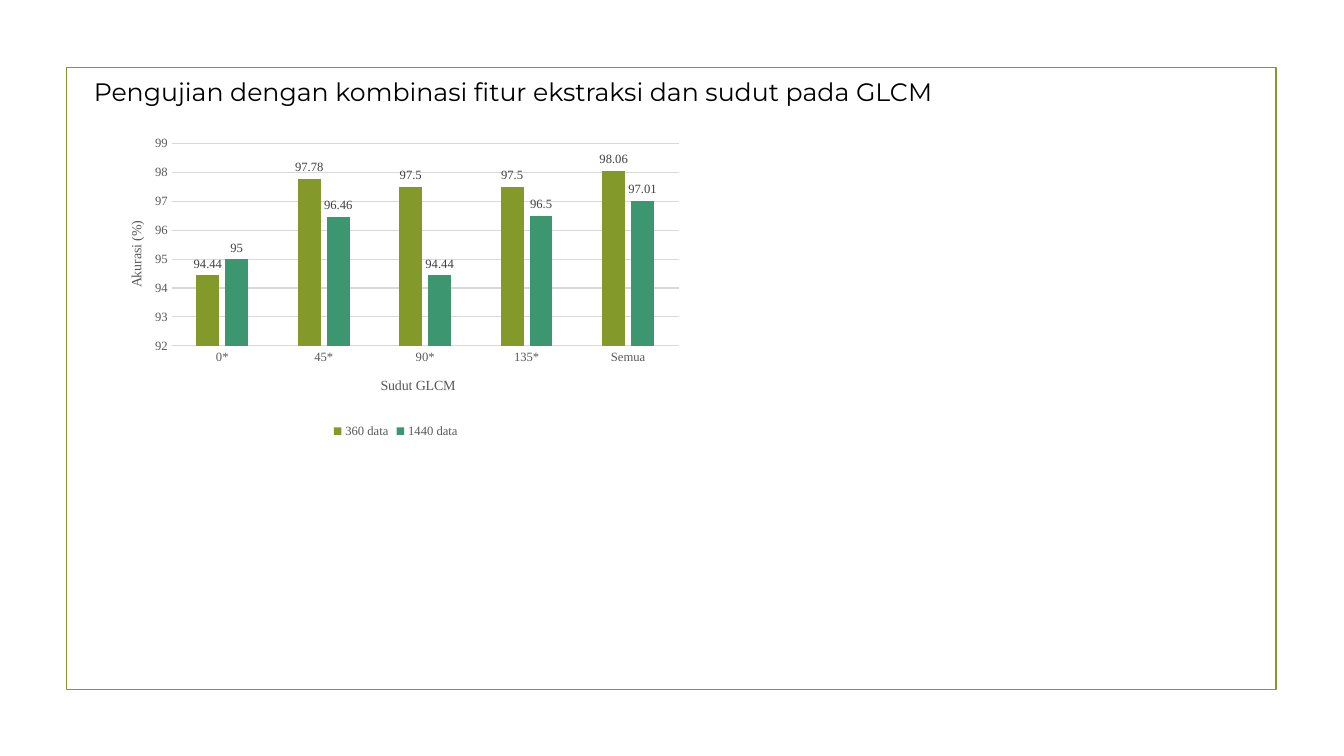
from lxml.etree import SubElement
from pptx import Presentation
from pptx.chart.data import CategoryChartData
from pptx.dml.color import RGBColor
from pptx.enum.chart import XL_CHART_TYPE, XL_LABEL_POSITION, XL_LEGEND_POSITION, XL_TICK_MARK
from pptx.enum.shapes import MSO_SHAPE
from pptx.enum.text import MSO_ANCHOR, PP_ALIGN
from pptx.oxml.ns import qn
from pptx.util import Inches, Pt

COLORS = {
    "olive": "83992A",
    "green": "3C9770",
    "black": "000000",
    "label": "404040",
    "axis": "595959",
    "grid": "D9D9D9",
}
ANGLES = ["0*", "45*", "90*", "135*", "Semua"]
SERIES = [
    ("360 data", [94.44, 97.78, 97.5, 97.5, 98.06], "olive"),
    ("1440 data", [95, 96.46, 94.44, 96.5, 97.01], "green"),
]


def color(name):
    return RGBColor.from_string(COLORS[name])


def style(font, size, name, face="Times New Roman"):
    font.size = Pt(size)
    font.name = face
    font.bold = False
    font.color.rgb = color(name)


def rule(line, name, width):
    line.color.rgb = color(name)
    line.width = Pt(width)


def place(parent, index, **shares):
    for old in parent.findall(qn("c:layout")):
        parent.remove(old)
    layout = SubElement(parent, qn("c:layout"))
    parent.insert(index, layout)
    manual = SubElement(layout, qn("c:manualLayout"))
    if "w" in shares:
        SubElement(manual, qn("c:layoutTarget")).set("val", "inner")
    for mode in ("xMode", "yMode"):
        SubElement(manual, qn(f"c:{mode}")).set("val", "edge")
    for key, share in shares.items():
        SubElement(manual, qn(f"c:{key}")).set("val", str(share))


def add_frame(slide, box):
    frame = slide.shapes.add_shape(MSO_SHAPE.RECTANGLE, *map(Inches, box))
    frame.shadow.inherit = False
    frame.fill.background()
    rule(frame.line, "olive", 1.25)


def add_title(slide, box, text):
    title = slide.shapes.title
    title.left, title.top, title.width, title.height = map(Inches, box)
    frame = title.text_frame
    frame.text = text
    frame.word_wrap = False
    frame.vertical_anchor = MSO_ANCHOR.TOP
    line = frame.paragraphs[0]
    line.alignment = PP_ALIGN.LEFT
    style(line.runs[0].font, 18, "black", "Montserrat")


def set_axis(axis, text, x, y):
    axis.major_tick_mark = axis.minor_tick_mark = XL_TICK_MARK.NONE
    style(axis.tick_labels.font, 9, "axis")
    title = axis.axis_title
    title.text_frame.text = text
    style(title.text_frame.paragraphs[0].runs[0].font, 10, "axis")
    place(title._element, 1, x=x, y=y)


def add_bars(slide, box):
    data = CategoryChartData()
    data.categories = ANGLES
    for name, values, _ in SERIES:
        data.add_series(name, values)
    chart = slide.shapes.add_chart(
        XL_CHART_TYPE.COLUMN_CLUSTERED, *map(Inches, box), data).chart
    style(chart.font, 10, "black")
    chart.has_title = False
    place(chart._chartSpace.chart.plotArea, 0, x=0.12, y=0.04, w=0.86, h=0.65)

    set_axis(chart.category_axis, "Sudut GLCM", 0.47, 0.78)
    rule(chart.category_axis.format.line, "grid", 0.75)
    scale = chart.value_axis
    set_axis(scale, "Akurasi (%)", 0.04, 0.28)
    scale.minimum_scale, scale.maximum_scale, scale.major_unit = 92, 99, 1
    scale.format.line.fill.background()
    rule(scale.major_gridlines.format.line, "grid", 0.75)

    plot = chart.plots[0]
    plot.gap_width, plot.overlap = 219, -27
    plot.vary_by_categories = False
    for bars, (_, _, name) in zip(plot.series, SERIES):
        bars.format.fill.solid()
        bars.format.fill.fore_color.rgb = color(name)
        labels = bars.data_labels
        labels.show_value = True
        labels.position = XL_LABEL_POSITION.OUTSIDE_END
        style(labels.font, 9, "label")

    chart.has_legend = True
    chart.legend.position = XL_LEGEND_POSITION.BOTTOM
    chart.legend.include_in_layout = False
    style(chart.legend.font, 9, "axis")


def main():
    deck = Presentation()
    deck.slide_width, deck.slide_height = Inches(13.33), Inches(7.5)
    slide = deck.slides.add_slide(deck.slide_layouts[5])
    add_frame(slide, (0.66, 0.67, 12, 6.17))
    add_bars(slide, (1, 1.3, 5.85, 3.09))
    add_title(slide, (0.83, 0.71, 9.27, 0.4),
              "Pengujian dengan kombinasi fitur ekstraksi dan sudut pada GLCM")
    deck.save("out.pptx")


if __name__ == "__main__":
    main()
